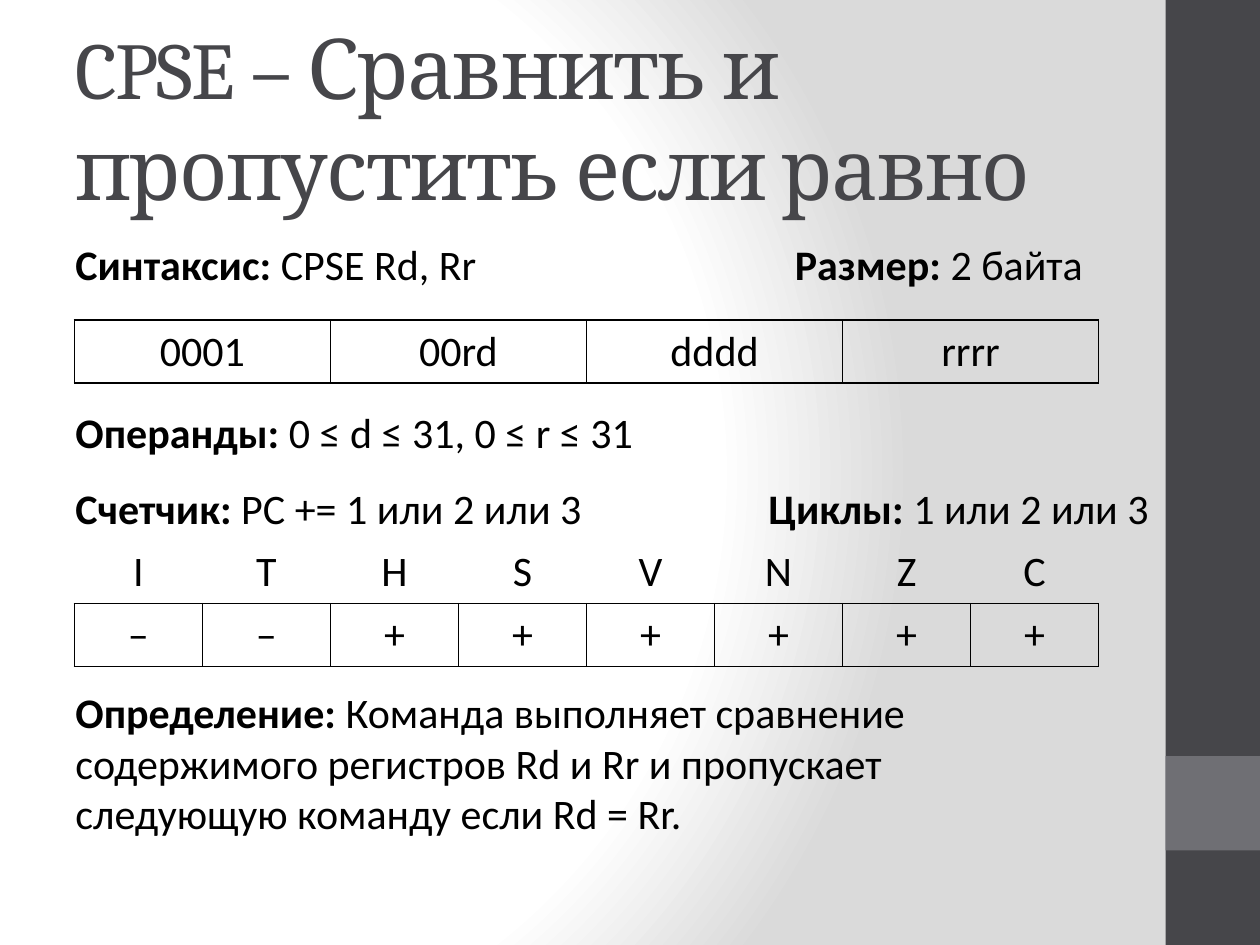
from dataclasses import dataclass

from pptx import Presentation
from pptx import oxml
from pptx.dml.color import RGBColor
from pptx.enum import shapes, text
from pptx.oxml import ns
from pptx.util import Inches, Pt

BLACK, SLATE, GREY = "000000", "46464A", "6F6F74"
LEFT, FULL_WIDTH = 0.5, 8.33
TABLE_LEFT, TABLE_WIDTH, ROW_HEIGHT = 0.59, 8.13, 0.5
PLAIN_TABLE_STYLE = "{2D5ABB26-0587-4C30-8999-92F81FD0307C}"


@dataclass
class Field:
    label: str
    value: str
    left: float
    top: float
    width: float
    height: float = 0.5
    wrap: bool = False


@dataclass
class Grid:
    top: float
    rows: list[list[str]]
    boxed_row: int


FIELDS = [
    Field("Определение: ",
          "Команда выполняет сравнение содержимого регистров Rd и Rr "
          "и пропускает следующую команду если Rd = Rr.",
          LEFT, 5.4, FULL_WIDTH, 1.31, True),
    Field("Синтаксис: ", "CPSE Rd, Rr", LEFT, 1.84, 3.42),
    Field("Размер: ", "2 байта", 6.21, 1.84, 2.51),
    Field("Счетчик: ", "PC += 1 или 2 или 3", LEFT, 3.78, 4.26),
    Field("Операнды: ", "0 ≤ d ≤ 31, 0 ≤ r ≤ 31", LEFT, 3.18, FULL_WIDTH, wrap=True),
    Field("Циклы: ", "1 или 2 или 3", 6, 3.78, 3.25),
]
OPCODE = Grid(2.54, [["0001", "00rd", "dddd", "rrrr"]], 0)
FLAGS = Grid(4.29, [list("ITHSVNZC"), list("––++++++")], 1)


def rgb(value: str) -> RGBColor:
    return RGBColor.from_string(value)


def add_run(paragraph, content: str, size: float, color: str = BLACK,
            font: str = "Calibri", bold: bool = False):
    run = paragraph.add_run()
    run.text = content
    run.font.size = Pt(size)
    run.font.name = font
    run.font.bold = bold
    run.font.color.rgb = rgb(color)
    return run


def paint_background(slide) -> None:
    slide.background.fill.gradient()
    gradient = slide.element.find(".//" + ns.qn("a:gradFill"))
    stops = "".join(
        f'<a:gs pos="{position * 1000}"><a:srgbClr val="{color}"/></a:gs>'
        for position, color in [(0, "FFFFFF"), (75, "FFFFFF"), (100, "DADADA")])
    radial = oxml.parse_xml(
        f'<a:gradFill {ns.nsdecls("a")} rotWithShape="1"><a:gsLst>{stops}</a:gsLst>'
        '<a:path path="circle">'
        '<a:fillToRect l="20000" t="50000" r="100000" b="50000"/>'
        '</a:path></a:gradFill>')
    gradient.getparent().replace(gradient, radial)


def add_band(slide, top: float, height: float, color: str) -> None:
    band = slide.shapes.add_shape(shapes.MSO_SHAPE.RECTANGLE, Inches(9.25),
                                  Inches(top), Inches(0.75), Inches(height))
    band.shadow.inherit = False
    band.fill.solid()
    band.fill.fore_color.rgb = rgb(color)
    band.line.fill.background()


def add_title(slide) -> None:
    title = slide.shapes.add_textbox(Inches(LEFT), Inches(0.3),
                                     Inches(FULL_WIDTH), Inches(1.25))
    frame = title.text_frame
    frame.word_wrap = True
    frame.vertical_anchor = text.MSO_ANCHOR.MIDDLE
    for content, size in [("CPSE ", 46), ("– Сравнить и пропустить если равно", 48)]:
        run = add_run(frame.paragraphs[0], content, size, SLATE, "Cambria")
        run.font._element.set("spc", "-100")


def add_field(slide, field: Field) -> None:
    box = slide.shapes.add_textbox(Inches(field.left), Inches(field.top),
                                   Inches(field.width), Inches(field.height))
    frame = box.text_frame
    frame.word_wrap = field.wrap
    frame.auto_size = text.MSO_AUTO_SIZE.SHAPE_TO_FIT_TEXT
    add_run(frame.paragraphs[0], field.label, 24, bold=True)
    add_run(frame.paragraphs[0], field.value, 24)


def box_cell(cell) -> None:
    properties = cell._tc.get_or_add_tcPr()
    for side in "LRTB":
        properties.append(oxml.parse_xml(
            f'<a:ln{side} {ns.nsdecls("a")} w="{Pt(1)}"><a:solidFill>'
            f'<a:srgbClr val="{BLACK}"/></a:solidFill></a:ln{side}>'))


def add_grid(slide, grid: Grid) -> None:
    row_count, column_count = len(grid.rows), len(grid.rows[0])
    table = slide.shapes.add_table(
        row_count, column_count, Inches(TABLE_LEFT), Inches(grid.top),
        Inches(TABLE_WIDTH), Inches(ROW_HEIGHT * row_count)).table
    table.first_row = table.horz_banding = False
    table._tbl.find(".//" + ns.qn("a:tableStyleId")).text = PLAIN_TABLE_STYLE
    for row, contents in enumerate(grid.rows):
        for column, content in enumerate(contents):
            cell = table.cell(row, column)
            if row == grid.boxed_row:
                box_cell(cell)
            cell.fill.background()
            paragraph = cell.text_frame.paragraphs[0]
            paragraph.alignment = text.PP_ALIGN.CENTER
            add_run(paragraph, content, 24)


def main() -> None:
    deck = Presentation()
    deck.slide_width, deck.slide_height = Inches(10), Inches(7.5)
    slide = deck.slides.add_slide(deck.slide_layouts[6])

    # Background and side bands
    paint_background(slide)
    add_band(slide, 0, 7.5, SLATE)
    add_band(slide, 6, 0.75, GREY)

    # Instruction name and description
    add_title(slide)
    for field in FIELDS:
        add_field(slide, field)

    # Opcode bits and status flags
    for grid in (OPCODE, FLAGS):
        add_grid(slide, grid)

    deck.save("out.pptx")


if __name__ == "__main__":
    main()
